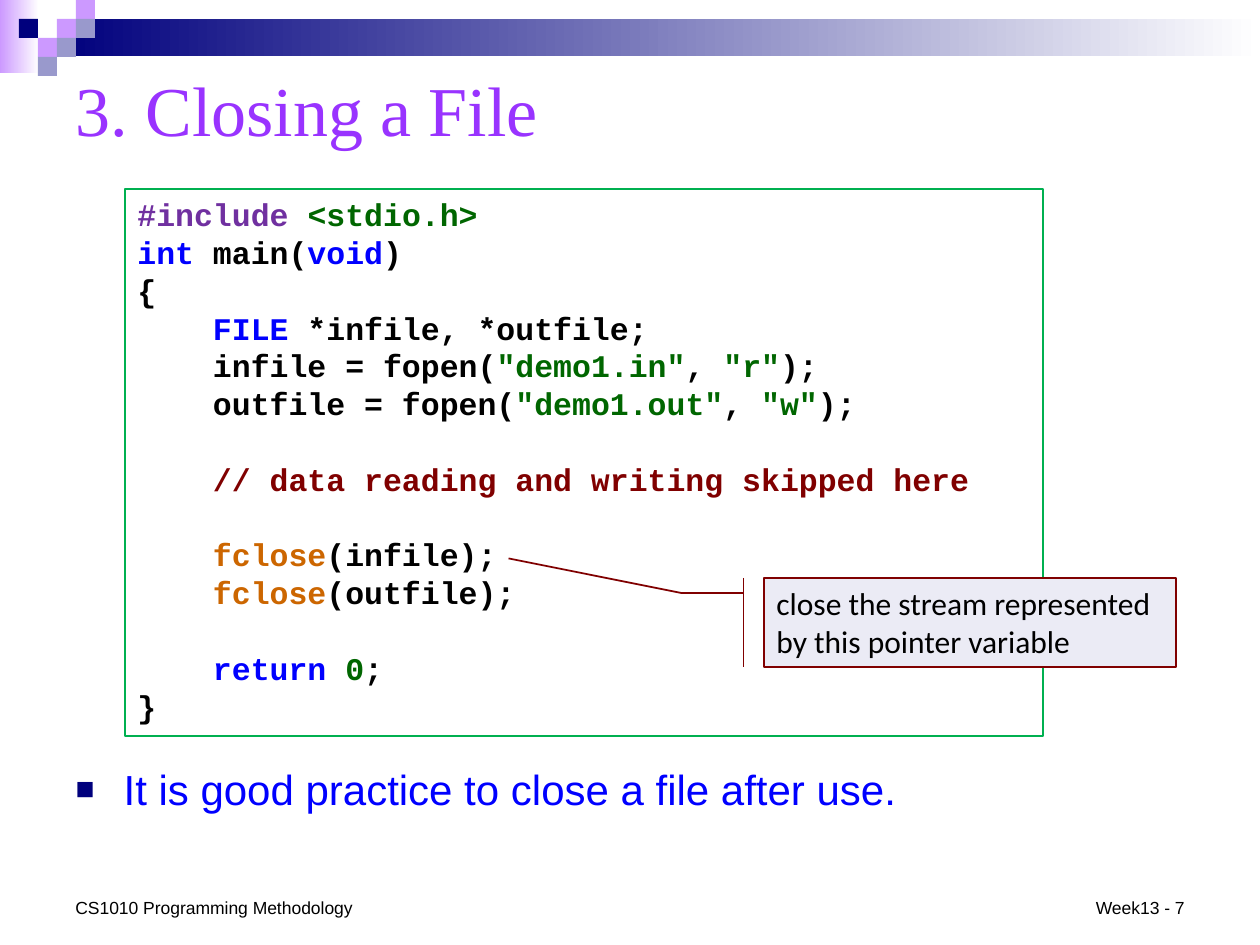
from lxml.etree import SubElement
from pptx import Presentation
from pptx.dml.color import RGBColor
from pptx.enum.shapes import MSO_SHAPE
from pptx.enum.text import MSO_ANCHOR, MSO_AUTO_SIZE, PP_ALIGN
from pptx.oxml.ns import qn
from pptx.util import Emu, Pt

PX = 914400 / 126
CELL = 19
NAVY, LILAC, GREY_BLUE, WHITE = "00007D", "CC99FF", "9999CC", "FFFFFF"
BLACK, BLUE, GREEN, ORANGE = "000000", "0000FF", "006600", "CC6600"
PURPLE, MAROON = "7030A0", "800000"

MOSAIC = [
    (3, 1, LILAC), (4, 0, LILAC), (4, 1, GREY_BLUE), (2, 2, LILAC),
    (1, 1, NAVY), (3, 2, GREY_BLUE), (2, 3, GREY_BLUE),
]

CODE = [
    [("#include ", PURPLE), ("<stdio.h>", GREEN)],
    [("int ", BLUE), ("main(", BLACK), ("void", BLUE), (")", BLACK)],
    [("{", BLACK)],
    [("    FILE", BLUE), (" *infile, *outfile;", BLACK)],
    [("    infile = fopen(", BLACK), ('"demo1.in"', GREEN), (", ", BLACK),
     ('"r"', GREEN), (");", BLACK)],
    [("    outfile = fopen(", BLACK), ('"demo1.out"', GREEN), (", ", BLACK),
     ('"w"', GREEN), (");", BLACK)],
    [],
    [("    // data reading and writing skipped here", MAROON)],
    [],
    [("    ", BLACK), ("fclose", ORANGE), ("(infile);", BLACK)],
    [("    ", BLACK), ("fclose", ORANGE), ("(outfile);", BLACK)],
    [],
    [("    return ", BLUE), ("0", GREEN), (";", BLACK)],
    [("}", BLACK)],
]


def px(*lengths):
    """Turn pixel lengths into EMU."""
    return [Emu(round(length * PX)) for length in lengths]


def color(hex_code):
    """Turn a hex string into a colour."""
    return RGBColor.from_string(hex_code)


def style(paragraph, font_name, size, hex_code=None, bold=False):
    """Set the font of a whole paragraph."""
    font = paragraph.font
    font.name, font.size, font.bold = font_name, Pt(size), bold
    if hex_code:
        font.color.rgb = color(hex_code)


def add_block(slide, box, fill, line=None, width=1, kind=MSO_SHAPE.RECTANGLE):
    """Add a flat filled shape, outlined if a line colour is given."""
    block = slide.shapes.add_shape(kind, *px(*box))
    block.shadow.inherit = False
    block.fill.solid()
    block.fill.fore_color.rgb = color(fill)
    if line:
        block.line.color.rgb = color(line)
        block.line.width = Pt(width)
    else:
        block.line.fill.background()
    return block


def add_fading_band(slide, box, start):
    """Add a band that fades from a colour to white, left to right."""
    fill = add_block(slide, box, start).fill
    fill.gradient()
    fill.gradient_angle = 0
    for stop, position, hex_code in zip(fill.gradient_stops, (0, 1), (start, WHITE)):
        stop.position = position
        stop.color.rgb = color(hex_code)


def add_header(slide):
    """Add the bands and the mosaic along the top."""
    add_fading_band(slide, (0, 0, 39, 73), LILAC)
    add_fading_band(slide, (57, 19, 1203, 37), NAVY)
    for column, row, hex_code in MOSAIC:
        add_block(slide, (column * CELL, row * CELL, CELL, CELL), hex_code)


def fill_placeholder(placeholder, box, text, font_name, size, hex_code):
    """Place a placeholder and write its left-aligned paragraph."""
    placeholder.left, placeholder.top, placeholder.width, placeholder.height = px(*box)
    placeholder.text_frame.auto_size = MSO_AUTO_SIZE.NONE
    paragraph = placeholder.text_frame.paragraphs[0]
    paragraph.text = text
    paragraph.alignment = PP_ALIGN.LEFT
    paragraph.space_before = Pt(0)
    return paragraph, (font_name, size, hex_code)


def add_square_bullet(paragraph, hex_code, indent):
    """Give a paragraph a small square bullet and a hanging indent."""
    properties = paragraph._p.get_or_add_pPr()
    hang = px(indent)[0]
    properties.set("marL", str(hang))
    properties.set("indent", str(-hang))
    SubElement(SubElement(properties, qn("a:buClr")), qn("a:srgbClr"), val=hex_code)
    SubElement(properties, qn("a:buSzPct"), val="75000")
    SubElement(properties, qn("a:buFont"), typeface="Arial")
    SubElement(properties, qn("a:buChar"), char="■")


def add_code(slide, box, lines):
    """Add the outlined listing with coloured tokens."""
    frame = add_block(slide, box, WHITE, "00B050", 0.75).text_frame
    frame.word_wrap = True
    frame.vertical_anchor = MSO_ANCHOR.TOP
    for number, tokens in enumerate(lines):
        paragraph = frame.add_paragraph() if number else frame.paragraphs[0]
        paragraph.alignment = PP_ALIGN.LEFT
        style(paragraph, "Courier New", 18, bold=True)
        for text, hex_code in tokens:
            run = paragraph.add_run()
            run.text = text
            run.font.color.rgb = color(hex_code)


def add_callout(slide, box, text, adjustments):
    """Add a note whose bent leader points into the listing."""
    callout = add_block(slide, box, "EBEBF5", MAROON, 1,
                        MSO_SHAPE.LINE_CALLOUT_2_BORDER_AND_ACCENT_BAR)
    for index, value in enumerate(adjustments):
        callout.adjustments[index] = value
    frame = callout.text_frame
    frame.word_wrap = True
    frame.vertical_anchor = MSO_ANCHOR.TOP
    paragraph = frame.paragraphs[0]
    paragraph.text = text
    paragraph.alignment = PP_ALIGN.LEFT
    style(paragraph, "Calibri", 18, BLACK)


def add_footer(slide, box, text, alignment):
    """Add a small footer text."""
    frame = slide.shapes.add_textbox(*px(*box)).text_frame
    frame.word_wrap = True
    frame.vertical_anchor = MSO_ANCHOR.BOTTOM
    paragraph = frame.paragraphs[0]
    paragraph.text = text
    paragraph.alignment = alignment
    style(paragraph, "Arial", 10, BLACK)


def main():
    """Build the slide and save it."""
    deck = Presentation()
    deck.slide_width, deck.slide_height = px(1260, 945)
    slide = deck.slides.add_slide(deck.slide_layouts[1])
    add_header(slide)
    title, title_font = fill_placeholder(
        slide.shapes.title, (63, 53, 1134, 111), "3. Closing a File",
        "Times New Roman", 40, "9933FF")
    style(title, *title_font)
    advice, advice_font = fill_placeholder(
        slide.placeholders[1], (63, 757, 1134, 63),
        "It is good practice to close a file after use.", "Arial", 24, BLUE)
    add_square_bullet(advice, NAVY, 48)
    style(advice, *advice_font)
    add_code(slide, (125, 189, 918, 547), CODE)
    add_callout(slide, (764, 578, 412, 89),
                "close the stream represented by this pointer variable",
                (0.17, -0.05, 0.17, -0.2, -0.22, -0.62))
    add_footer(slide, (63, 890, 305, 34), "CS1010 Programming Methodology", PP_ALIGN.LEFT)
    add_footer(slide, (1081, 890, 116, 34), "Week13 - 7", PP_ALIGN.RIGHT)
    deck.save("out.pptx")


if __name__ == "__main__":
    main()
